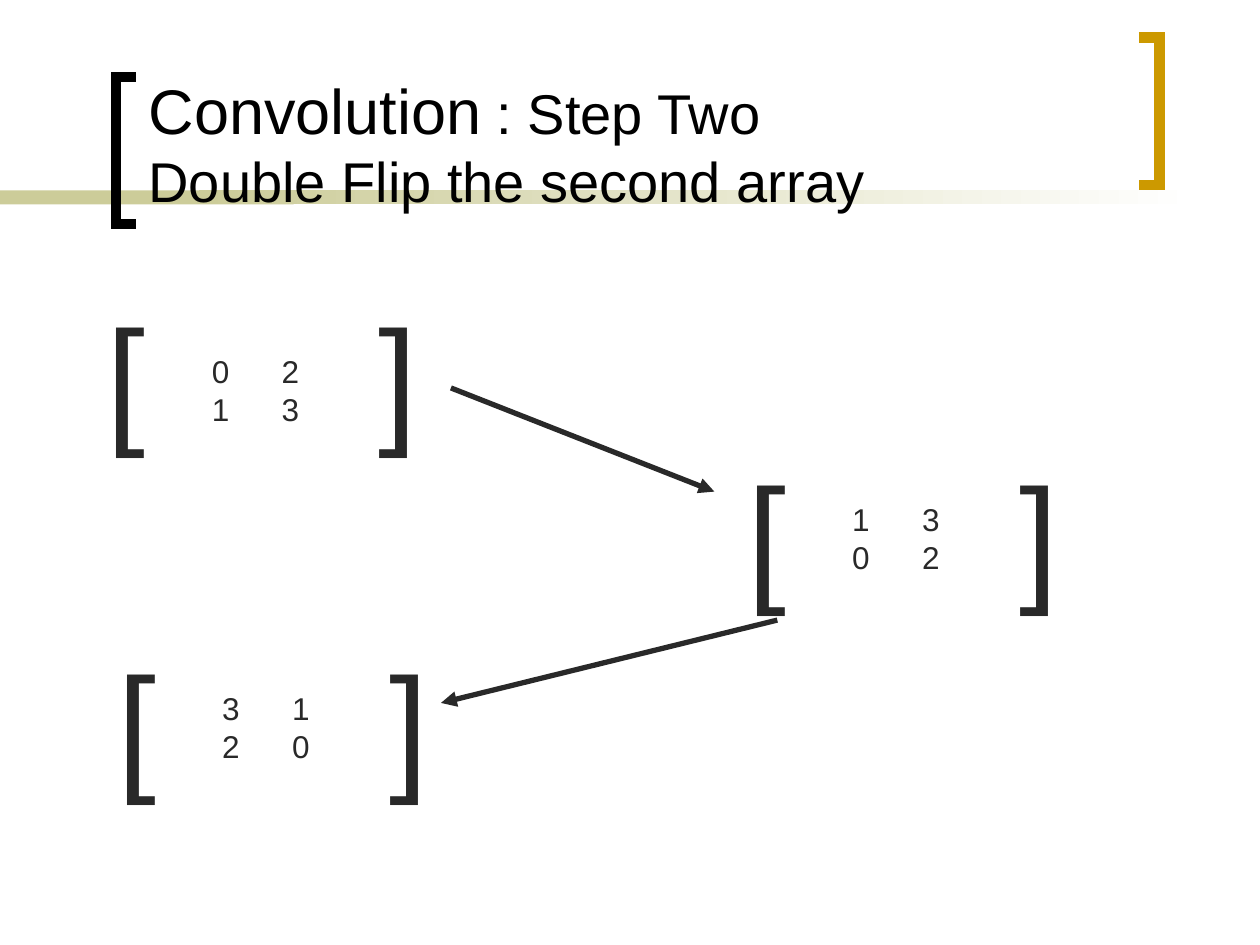
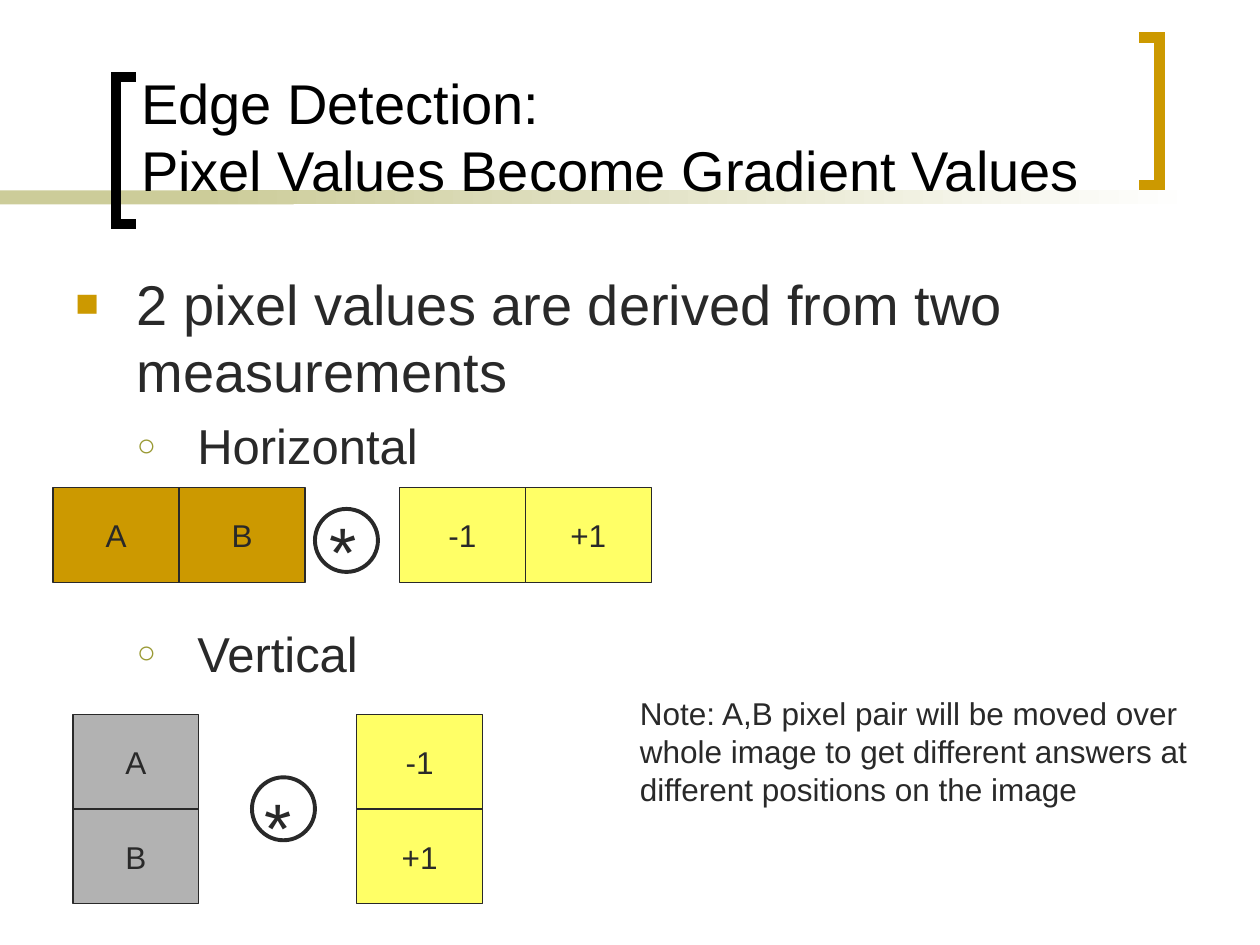
from dataclasses import dataclass

from lxml.etree import SubElement
from pptx import Presentation
from pptx.dml.color import RGBColor
from pptx.enum.shapes import MSO_CONNECTOR as Connector, MSO_SHAPE as Preset
from pptx.enum.text import MSO_ANCHOR as Anchor, MSO_AUTO_SIZE as AutoSize, PP_ALIGN as Align
from pptx.oxml.ns import qn
from pptx.slide import Slide
from pptx.util import Cm, Pt

COLORS = {
    "title": "000000",
    "text": "292929",
    "band": "CCCC99",
    "paper": "FFFFFF",
    "gold": "CC9900",
    "olive": "999933",
    "yellow": "FFFF66",
    "gray": "B2B2B2",
}
FONT = "Arial"
BODY_SIZE = 18
CELL_WIDTH, CELL_HEIGHT = 2.54, 1.91
CIRCLE = 1.27


@dataclass(frozen=True)
class Box:
    left: float
    top: float
    width: float
    height: float

    def lengths(self) -> tuple:
        return Cm(self.left), Cm(self.top), Cm(self.width), Cm(self.height)


@dataclass(frozen=True)
class Bracket:
    open_x: float
    spine_x: float
    top: float
    bottom: float
    color: str


@dataclass(frozen=True)
class Matrix:
    left: float
    top: float
    values_drop: float
    rows: tuple


@dataclass(frozen=True)
class Arrow:
    start: tuple
    end: tuple


@dataclass(frozen=True)
class CellPair:
    left: float
    top: float
    labels: tuple
    color: str
    vertical: bool = False


@dataclass(frozen=True)
class Operator:
    circle_left: float
    circle_top: float
    star_left: float
    star_top: float


@dataclass(frozen=True)
class Bullet:
    text: str
    size: int
    indent: float
    hanging: float
    mark: str
    mark_color: str
    mark_percent: int
    space_before: int


BRACKETS = (
    Bracket(2.74, 2.34, 1.55, 4.52, "title"),
    Bracket(22.96, 23.37, 0.76, 3.73, "gold"),
)
MATRICES = (
    Matrix(1.9, 5.71, 1.27, ((0, 2), (1, 3))),
    Matrix(14.81, 8.89, 1.07, ((1, 3), (0, 2))),
    Matrix(2.11, 12.7, 1.07, ((3, 1), (2, 0))),
)
ARROWS = (
    Arrow((9.09, 7.82), (14.4, 9.91)),
    Arrow((15.67, 12.5), (8.89, 14.17)),
)
BULLETS = (
    Bullet("2 pixel values are derived from two measurements", 32, 1.24, 1.24, "■", "gold", 70, 0),
    Bullet("Horizontal", 28, 2.46, 1.22, "○", "olive", 65, 7),
    Bullet("Vertical", 28, 2.46, 1.22, "○", "olive", 65, 85),
)
CELL_PAIRS = (
    CellPair(1.07, 9.83, ("A", "B"), "gold"),
    CellPair(8.05, 9.83, ("-1", "+1"), "yellow"),
    CellPair(1.47, 14.4, ("A", "B"), "gray", True),
    CellPair(7.19, 14.4, ("-1", "+1"), "yellow", True),
)
OPERATORS = (
    Operator(6.35, 10.26, 6.4, 10.11),
    Operator(5.08, 15.67, 5.08, 15.67),
)
NOTE = (
    "Note: A,B pixel pair will be moved over",
    "whole image to get different answers at",
    "different positions on the image",
)


def color_of(name: str) -> RGBColor:
    return RGBColor.from_string(COLORS[name])


def add_run(paragraph, text: str, size: int, color: str = "text") -> None:
    run = paragraph.add_run()
    run.text = text
    run.font.name = FONT
    run.font.size = Pt(size)
    run.font.color.rgb = color_of(color)


def set_line(shape, color: str, width: float) -> None:
    shape.line.color.rgb = color_of(color)
    shape.line.width = Pt(width)


def add_preset(slide: Slide, preset: Preset, box: Box):
    shape = slide.shapes.add_shape(preset, *box.lengths())
    shape.shadow.inherit = False
    return shape


def add_text_frame(slide: Slide, box: Box):
    frame = slide.shapes.add_textbox(*box.lengths()).text_frame
    frame.word_wrap = True
    frame.margin_right = 0
    return frame


def add_lines(slide: Slide, box: Box, lines: tuple, size: int, tab: float = 0) -> None:
    frame = add_text_frame(slide, box)
    for index, line in enumerate(lines):
        paragraph = frame.add_paragraph() if index else frame.paragraphs[0]
        if tab:
            stops = SubElement(paragraph._p.get_or_add_pPr(), qn("a:tabLst"))
            SubElement(stops, qn("a:tab"), pos=str(int(Cm(tab))), algn="l")
        add_run(paragraph, line, size)


def add_bands(slide: Slide) -> None:
    solid = add_preset(slide, Preset.RECTANGLE, Box(0, 3.84, 5.92, 0.28))
    solid.fill.solid()
    solid.fill.fore_color.rgb = color_of("band")
    solid.line.fill.background()
    faded = add_preset(slide, Preset.RECTANGLE, Box(4.01, 3.84, 20.12, 0.28))
    faded.fill.gradient()
    faded.fill.gradient_angle = 0
    for stop, name, position in zip(faded.fill.gradient_stops, ("band", "paper"), (0, 1)):
        stop.color.rgb = color_of(name)
        stop.position = position
    faded.line.fill.background()


def add_bracket(slide: Slide, bracket: Bracket) -> None:
    builder = slide.shapes.build_freeform(Cm(bracket.open_x), Cm(bracket.top))
    corners = (
        (bracket.spine_x, bracket.top),
        (bracket.spine_x, bracket.bottom),
        (bracket.open_x, bracket.bottom),
    )
    builder.add_line_segments([(Cm(x), Cm(y)) for x, y in corners], close=False)
    shape = builder.convert_to_shape()
    shape.shadow.inherit = False
    shape.fill.background()
    set_line(shape, bracket.color, 6)
    SubElement(shape.line._get_or_add_ln(), qn("a:miter"), lim="800000")


def add_titled_slide(presentation, box: Box, title_lines: tuple) -> Slide:
    slide = presentation.slides.add_slide(presentation.slide_layouts.get_by_name("Title Only"))
    add_bands(slide)
    for bracket in BRACKETS:
        add_bracket(slide, bracket)
    title = slide.shapes.title
    title.element.getparent().append(title.element)
    title.left, title.top, title.width, title.height = box.lengths()
    frame = title.text_frame
    frame.word_wrap = True
    frame.auto_size = AutoSize.NONE
    frame.vertical_anchor = Anchor.BOTTOM
    paragraph = frame.paragraphs[0]
    paragraph.alignment = Align.LEFT
    for index, runs in enumerate(title_lines):
        if index:
            paragraph.add_line_break()
        for text, size in runs:
            add_run(paragraph, text, size, "title")
    return slide


def add_matrix(slide: Slide, matrix: Matrix) -> None:
    add_lines(slide, Box(matrix.left, matrix.top, 6.78, 3.63), ("[\t]",), 80, tab=5.49)
    values = Box(matrix.left + 2.12, matrix.top + matrix.values_drop, 2.29, 1.78)
    add_lines(slide, values, tuple(f"{first}\t{second}" for first, second in matrix.rows),
              BODY_SIZE, tab=1.41)


def add_arrow(slide: Slide, arrow: Arrow) -> None:
    ends = [Cm(value) for value in (*arrow.start, *arrow.end)]
    connector = slide.shapes.add_connector(Connector.STRAIGHT, *ends)
    set_line(connector, "text", 3)
    SubElement(connector.line._get_or_add_ln(), qn("a:tailEnd"), type="triangle")
    SubElement(connector.element.spPr, qn("a:effectLst"))


def add_bullets(slide: Slide, box: Box, bullets: tuple) -> None:
    frame = add_text_frame(slide, box)
    for index, bullet in enumerate(bullets):
        paragraph = frame.add_paragraph() if index else frame.paragraphs[0]
        paragraph.space_before = Pt(bullet.space_before)
        properties = paragraph._p.get_or_add_pPr()
        properties.set("marL", str(int(Cm(bullet.indent))))
        properties.set("indent", str(-int(Cm(bullet.hanging))))
        mark_color = SubElement(properties, qn("a:buClr"))
        SubElement(mark_color, qn("a:srgbClr"), val=COLORS[bullet.mark_color])
        SubElement(properties, qn("a:buSzPct"), val=str(bullet.mark_percent * 1000))
        SubElement(properties, qn("a:buFont"), typeface=FONT)
        SubElement(properties, qn("a:buChar"), char=bullet.mark)
        add_run(paragraph, bullet.text, bullet.size)


def add_cell_pair(slide: Slide, pair: CellPair) -> None:
    for index, label in enumerate(pair.labels):
        left = pair.left + (0 if pair.vertical else index * CELL_WIDTH)
        top = pair.top + (index * CELL_HEIGHT if pair.vertical else 0)
        cell = add_preset(slide, Preset.RECTANGLE, Box(left, top, CELL_WIDTH, CELL_HEIGHT))
        cell.fill.solid()
        cell.fill.fore_color.rgb = color_of(pair.color)
        set_line(cell, "text", 0.75)
        cell.text_frame.vertical_anchor = Anchor.MIDDLE
        paragraph = cell.text_frame.paragraphs[0]
        paragraph.alignment = Align.CENTER
        add_run(paragraph, label, BODY_SIZE)


def add_operator(slide: Slide, operator: Operator) -> None:
    ring = Box(operator.circle_left, operator.circle_top, CIRCLE, CIRCLE)
    circle = add_preset(slide, Preset.OVAL, ring)
    circle.fill.background()
    set_line(circle, "text", 2.25)
    add_lines(slide, Box(operator.star_left, operator.star_top, 1.07, 1.96), ("*",), 40)


def build_flip_slide(presentation) -> None:
    slide = add_titled_slide(presentation, Box(2.74, 1.47, 20.52, 2.97), (
        (("Convolution", 36), (" : Step Two", 32)),
        (("Double Flip the second array", 32),),
    ))
    for matrix in MATRICES:
        add_matrix(slide, matrix)
    for arrow in ARROWS:
        add_arrow(slide, arrow)


def build_edge_slide(presentation) -> None:
    slide = add_titled_slide(presentation, Box(2.59, 0.28, 19.89, 3.94), (
        (("Edge Detection:", 32),),
        (("Pixel Values Become Gradient Values", 32),),
    ))
    add_bullets(slide, Box(1.27, 5.3, 22.86, 12.48), BULLETS)
    for pair in CELL_PAIRS:
        add_cell_pair(slide, pair)
    for operator in OPERATORS:
        add_operator(slide, operator)
    add_lines(slide, Box(12.65, 13.87, 12.5, 2.54), NOTE, BODY_SIZE)


def main() -> None:
    presentation = Presentation()
    presentation.slide_width, presentation.slide_height = Cm(25.4), Cm(19.05)
    build_flip_slide(presentation)
    build_edge_slide(presentation)
    presentation.save("out.pptx")


main()
